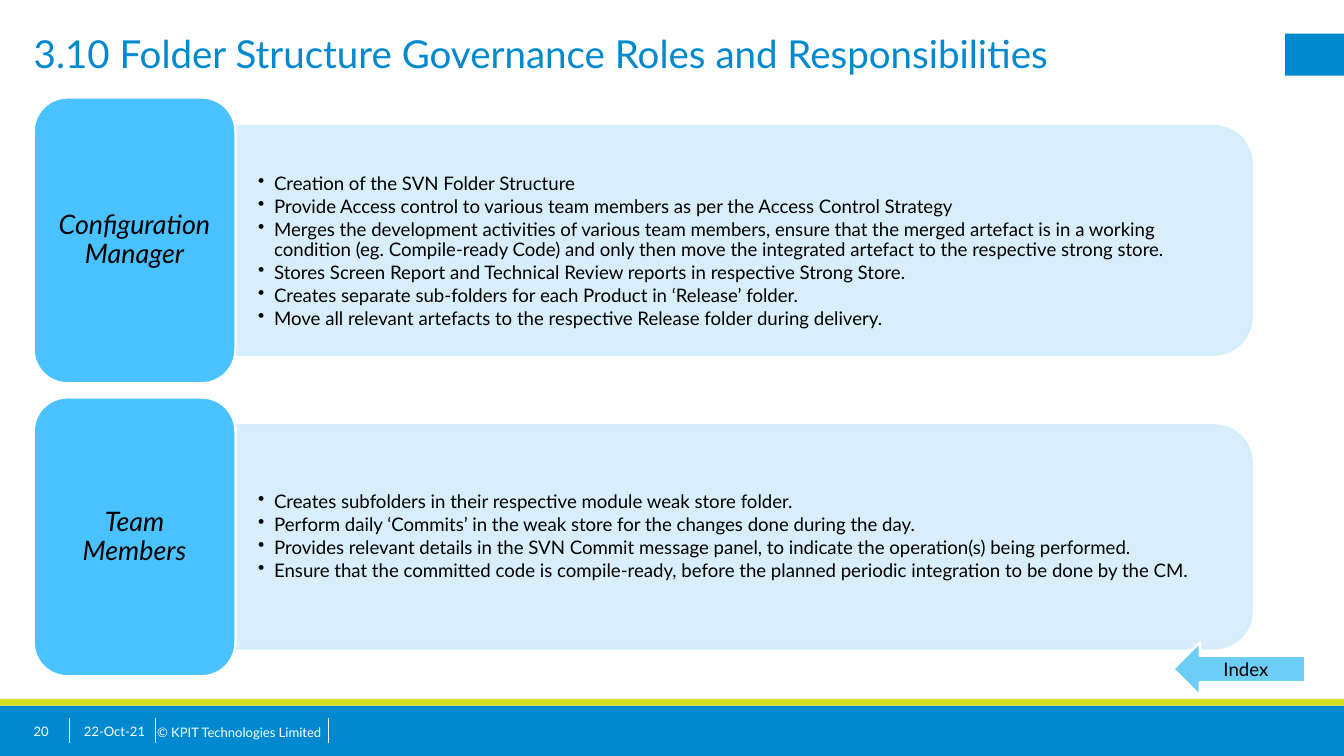
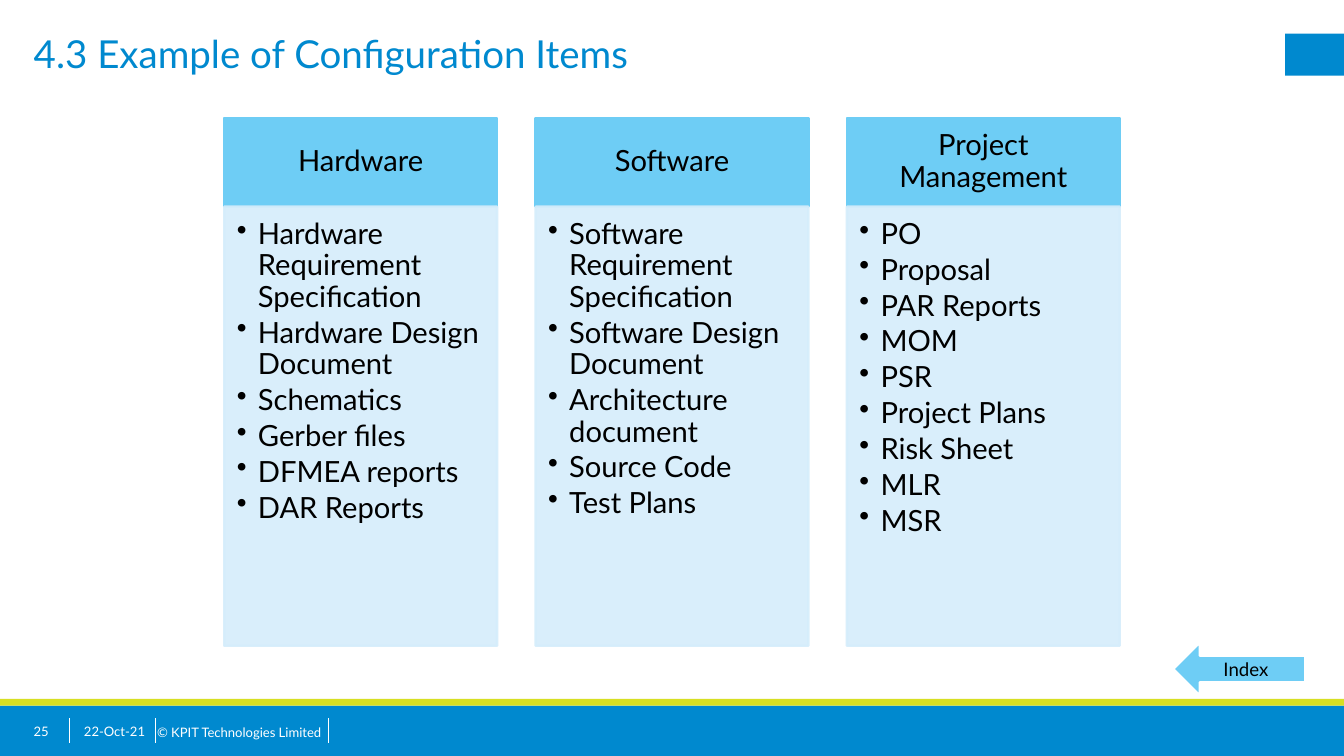
from dataclasses import dataclass

from lxml.etree import SubElement
from pptx import Presentation
from pptx.dml.color import RGBColor
from pptx.enum.shapes import MSO_CONNECTOR, MSO_SHAPE
from pptx.enum.text import MSO_ANCHOR, MSO_AUTO_SIZE, PP_ALIGN
from pptx.oxml.ns import qn
from pptx.util import Cm, Pt


@dataclass(frozen=True)
class Theme:
    font: str = "Lato"
    blue: str = "0089CF"
    lime: str = "D7DF23"
    label: str = "49C2FF"
    header: str = "6ECDF5"
    panel: str = "D5EDFB"
    white: str = "FFFFFF"
    black: str = "000000"
    title_size: float = 33
    header_size: float = 25
    label_size: float = 23
    body_size: float = 16
    footer_size: float = 11.2
    outline: float = 2
    panel_opacity: int = 90


@dataclass(frozen=True)
class Box:
    """A rectangle in centimetres."""
    left: float
    top: float
    width: float
    height: float

    def lengths(self):
        return Cm(self.left), Cm(self.top), Cm(self.width), Cm(self.height)


THEME = Theme()
PAGE = Box(0, 0, 40.64, 22.86)
FOOTER_TOP, FOOTER_HEIGHT = 21.72, 0.76
NO_INSETS = (0, 0, 0, 0)
DATE = "22-Oct-21"

ROLES = [
    ("Configuration Manager", 8.64, 1.05, [
        "Creation of the SVN Folder Structure",
        "Provide Access control to various team members as per the Access Control Strategy",
        "Merges the development activities of various team members, ensure that the merged "
        "artefact is in a working condition (eg. Compile-ready Code) and only then move the "
        "integrated artefact to the respective strong store.",
        "Stores Screen Report and Technical Review reports in respective Strong Store.",
        "Creates separate sub-folders for each Product in ‘Release’ folder.",
        "Move all relevant artefacts to the respective Release folder during delivery.",
    ]),
    ("Team Members", 8.43, 0.36, [
        "Creates subfolders in their respective module weak store folder.",
        "Perform daily ‘Commits’ in the weak store for the changes done during the day.",
        "Provides relevant details in the SVN Commit message panel, to indicate the "
        "operation(s) being performed.",
        "Ensure that the committed code is compile-ready, before the planned periodic "
        "integration to be done by the CM.",
    ]),
]

ITEMS = [
    ("Hardware", ["Hardware Requirement Specification", "Hardware Design Document",
                  "Schematics", "Gerber files", "DFMEA reports", "DAR Reports"]),
    ("Software", ["Software Requirement Specification", "Software Design Document",
                  "Architecture document", "Source Code", "Test Plans"]),
    ("Project Management", ["PO", "Proposal", "PAR Reports", "MOM", "PSR",
                            "Project Plans", "Risk Sheet", "MLR", "MSR"]),
]


# Drawing helpers
def set_opacity(fill, percent):
    for color in fill.iter(qn("a:srgbClr")):
        SubElement(color, qn("a:alpha"), val=str(percent * 1000))


def add_block(page, kind, box, fill, line=None, opacity=100):
    shape = page.shapes.add_shape(kind, *box.lengths())
    shape.shadow.inherit = False
    shape.fill.solid()
    shape.fill.fore_color.rgb = RGBColor.from_string(fill)
    if line:
        shape.line.color.rgb = RGBColor.from_string(line)
        shape.line.width = Pt(THEME.outline)
    else:
        shape.line.fill.background()
    if opacity < 100:
        set_opacity(shape.element.spPr, opacity)
    return shape


def add_bullet(para, indent):
    properties = para._p.get_or_add_pPr()
    properties.set("marL", str(Cm(indent)))
    properties.set("indent", str(-Cm(indent)))
    SubElement(properties, qn("a:buChar"), char="•")


def write(shape, lines, size, color=THEME.black, align=PP_ALIGN.LEFT,
          anchor=MSO_ANCHOR.MIDDLE, insets=(0.25, 0.13, 0.25, 0.13),
          indent=0, spacing=None, italic=None):
    frame = shape.text_frame
    frame.word_wrap = True
    frame.auto_size = MSO_AUTO_SIZE.NONE
    frame.vertical_anchor = anchor
    frame.margin_left, frame.margin_top, frame.margin_right, frame.margin_bottom = map(Cm, insets)
    for index, line in enumerate(lines):
        para = frame.paragraphs[0] if index == 0 else frame.add_paragraph()
        para.text = line
        para.alignment = align
        if indent:
            add_bullet(para, indent)
            para.space_after = Pt(size * 0.15)
        if spacing:
            para.line_spacing = spacing
        para.font.name = THEME.font
        para.font.size = Pt(size)
        para.font.italic = italic
        para.font.color.rgb = RGBColor.from_string(color)


def add_text(page, box, lines, size, **style):
    write(page.shapes.add_textbox(*box.lengths()), lines, size, **style)


def add_footer_text(page, left, width, text):
    add_text(page, Box(left, FOOTER_TOP, width, FOOTER_HEIGHT), [text], THEME.footer_size,
             color=THEME.white, insets=NO_INSETS)


# Parts shared by every page
def build_layout(deck):
    """Draw the bands and the footer once, and keep them on the layout."""
    layout = deck.slide_layouts[5]
    for placeholder in list(layout.placeholders)[1:]:
        layout.shapes.element.remove(placeholder.element)
    page = deck.slides.add_slide(layout)

    add_block(page, MSO_SHAPE.RECTANGLE, Box(38.86, 1.02, 1.78, 1.27), THEME.blue)
    add_block(page, MSO_SHAPE.RECTANGLE, Box(0, 21.34, PAGE.width, 1.52), THEME.blue)
    add_block(page, MSO_SHAPE.RECTANGLE, Box(0, 21.13, PAGE.width, 0.21), THEME.lime)
    for x in (2.11, 4.7, 9.93):
        divider = page.shapes.add_connector(
            MSO_CONNECTOR.STRAIGHT, Cm(x), Cm(FOOTER_TOP), Cm(x), Cm(FOOTER_TOP + FOOTER_HEIGHT))
        divider.line.color.rgb = RGBColor.from_string(THEME.white)
        divider.line.width = Pt(1)
        SubElement(divider.element.spPr, qn("a:effectLst"))
    add_text(page, Box(4.75, FOOTER_TOP, 5.26, 0.86), ["© KPIT Technologies Limited"],
             THEME.footer_size, color=THEME.white, insets=NO_INSETS)

    for shape in list(page.shapes)[1:]:
        layout.shapes.element.append(shape.element)
    return layout, page


def add_heading(page, title, number):
    heading = page.shapes.title
    heading.left, heading.top, heading.width, heading.height = Box(1.02, 0.91, 36.83, 2.03).lengths()
    write(heading, [title], THEME.title_size, color=THEME.blue,
          anchor=MSO_ANCHOR.TOP, insets=NO_INSETS)
    add_footer_text(page, 2.54, 2.03, DATE)
    add_footer_text(page, 1.02, 1.02, number)


def add_index_arrow(page):
    arrow = add_block(page, MSO_SHAPE.LEFT_ARROW, Box(35.48, 19.43, 3.99, 1.6),
                      THEME.header, THEME.white)
    write(arrow, ["Index"], THEME.body_size, align=PP_ALIGN.CENTER)


# Roles page
def add_role(page, box, role, duties, top_inset):
    label_width = 6.1
    panel = Box(box.left + label_width, box.top + box.height * 0.1,
                box.width - label_width, box.height * 0.8)
    # The panel is drawn upright, then turned so its round corners face right
    upright = Box(panel.left + (panel.width - panel.height) / 2,
                  panel.top + (panel.height - panel.width) / 2, panel.height, panel.width)
    shape = add_block(page, MSO_SHAPE.ROUND_2_SAME_RECTANGLE, upright, THEME.panel,
                      THEME.panel, THEME.panel_opacity)
    shape.rotation = 90
    add_text(page, Box(panel.left, panel.top, panel.width - 0.35, panel.height), duties,
             THEME.body_size, insets=(0.69, top_inset, 0.69, 0.36), indent=0.48, spacing=0.9)
    label = add_block(page, MSO_SHAPE.ROUNDED_RECTANGLE,
                      Box(box.left, box.top, label_width, box.height), THEME.label, THEME.white)
    write(label, [role], THEME.label_size, align=PP_ALIGN.CENTER,
          insets=(0.34, 0.13, 0.34, 0.13), spacing=0.9, italic=True)


def add_roles(page, box, gap=0.43):
    top = box.top
    for role, height, top_inset, duties in ROLES:
        add_role(page, Box(box.left, top, box.width, height), role, duties, top_inset)
        top += height + gap


# Configuration items page
def add_item_column(page, box, name, items):
    header_height = 2.69
    header = add_block(page, MSO_SHAPE.RECTANGLE,
                       Box(box.left, box.top, box.width, header_height),
                       THEME.header, THEME.header)
    write(header, [name], THEME.header_size, align=PP_ALIGN.CENTER,
          insets=(0.48, 0.28, 0.48, 0.28), spacing=0.9)
    body = add_block(page, MSO_SHAPE.RECTANGLE,
                     Box(box.left, box.top + header_height, box.width, box.height - header_height),
                     THEME.panel, THEME.panel, THEME.panel_opacity)
    write(body, items, THEME.header_size, anchor=MSO_ANCHOR.TOP,
          insets=(0.38, 0.38, 0.48, 0.56), indent=0.64, spacing=0.9)


def add_items(page, box, gap=1.16):
    width = (box.width - gap * (len(ITEMS) - 1)) / len(ITEMS)
    for index, (name, items) in enumerate(ITEMS):
        left = box.left + index * (width + gap)
        add_item_column(page, Box(left, box.top, width, box.height), name, items)


def main():
    deck = Presentation()
    deck.slide_width, deck.slide_height = Cm(PAGE.width), Cm(PAGE.height)
    layout, roles_page = build_layout(deck)

    add_heading(roles_page, "3.10 Folder Structure Governance Roles and Responsibilities", "20")
    add_roles(roles_page, Box(1.02, 2.95, 36.83, 17.5))
    add_index_arrow(roles_page)

    items_page = deck.slides.add_slide(layout)
    add_heading(items_page, "4.3 Example of Configuration Items", "25")
    add_items(items_page, Box(6.78, 3.56, 27.08, 15.97))
    add_index_arrow(items_page)

    deck.save("out.pptx")


if __name__ == "__main__":
    main()
